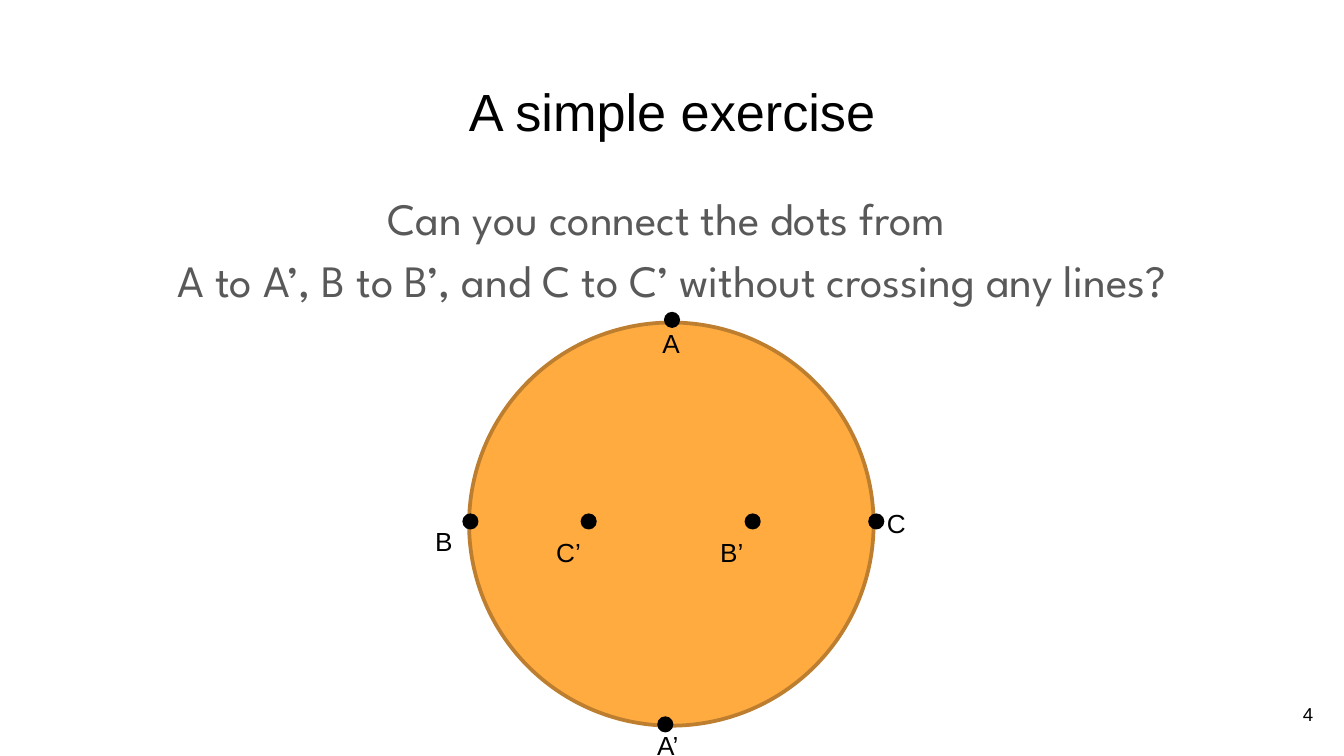
"""Build the dot-connecting exercise slide."""
import pptx
import pptx.dml.color
import pptx.enum.shapes
import pptx.enum.text
import pptx.util

Inches = pptx.util.Inches
Pt = pptx.util.Pt
Align = pptx.enum.text.PP_ALIGN
Anchor = pptx.enum.text.MSO_ANCHOR


def color(code):
    return pptx.dml.color.RGBColor.from_string(code)


class Board:
    font = "Arial"
    black = "000000"
    gray = "595959"
    orange = "FFAB40"
    brown = "BD7F2F"
    dot_size = 0.12

    def __init__(self, slide):
        self.slide = slide

    def text(self, box, lines, size, font=font, ink=black, align=Align.LEFT,
             anchor=Anchor.TOP, space=None, pad=0.1):
        frame = self.slide.shapes.add_textbox(*map(Inches, box)).text_frame
        frame.word_wrap = True
        frame.vertical_anchor = anchor
        frame.margin_left = frame.margin_right = Inches(0.1)
        frame.margin_top = frame.margin_bottom = Inches(pad)
        for index, line in enumerate(lines):
            para = frame.add_paragraph() if index else frame.paragraphs[0]
            para.alignment = align
            para.line_spacing = space
            run = para.add_run()
            run.text = line
            run.font.name = font
            run.font.size = Pt(size)
            run.font.color.rgb = color(ink)

    def oval(self, box, fill, edge=None):
        kind = pptx.enum.shapes.MSO_SHAPE.OVAL
        shape = self.slide.shapes.add_shape(kind, *map(Inches, box))
        shape.shadow.inherit = False
        shape.fill.solid()
        shape.fill.fore_color.rgb = color(fill)
        if edge:
            shape.line.color.rgb = color(edge)
            shape.line.width = Pt(2)
        else:
            shape.line.fill.background()

    def dot(self, name, left, top, label):
        self.oval((left, top, self.dot_size, self.dot_size), self.black)
        self.text((*label, 0.34), [name], 14, pad=0.05)


def main():
    deck = pptx.Presentation()
    deck.slide_width = Inches(10)
    deck.slide_height = deck.slide_width * 9 // 16
    board = Board(deck.slides.add_slide(deck.slide_layouts[6]))

    board.text((0.34, 0.49, 9.32, 0.63), ["A simple exercise"], 28,
               align=Align.CENTER)
    board.text((0.34, 1.26, 9.32, 0.98),
               ["Can you connect the dots from ",
                "A to A’, B to B’, and C to C’ without crossing any lines?"],
               24, "League Spartan", board.gray, Align.CENTER, space=1.15)
    board.text((9.27, 5.1, 0.6, 0.43), ["4"], 10, align=Align.RIGHT,
               anchor=Anchor.MIDDLE)

    board.oval((3.49, 2.4, 3.01, 3), board.orange, board.brown)
    middle = 3.82
    for name, left, top, label in (
        ("A", 4.94, 2.32, (4.83, 2.39, 0.33)),
        ("A’", 4.89, 5.33, (4.79, 5.38, 0.42)),
        ("B", 3.44, middle, (3.14, 3.86, 0.33)),
        ("B’", 5.54, middle, (5.26, 3.94, 0.39)),
        ("C", 6.46, middle, (6.5, 3.73, 0.35)),
        ("C’", 4.32, middle, (4.04, 3.94, 0.39)),
    ):
        board.dot(name, left, top, label)

    deck.save("out.pptx")


if __name__ == "__main__":
    main()
